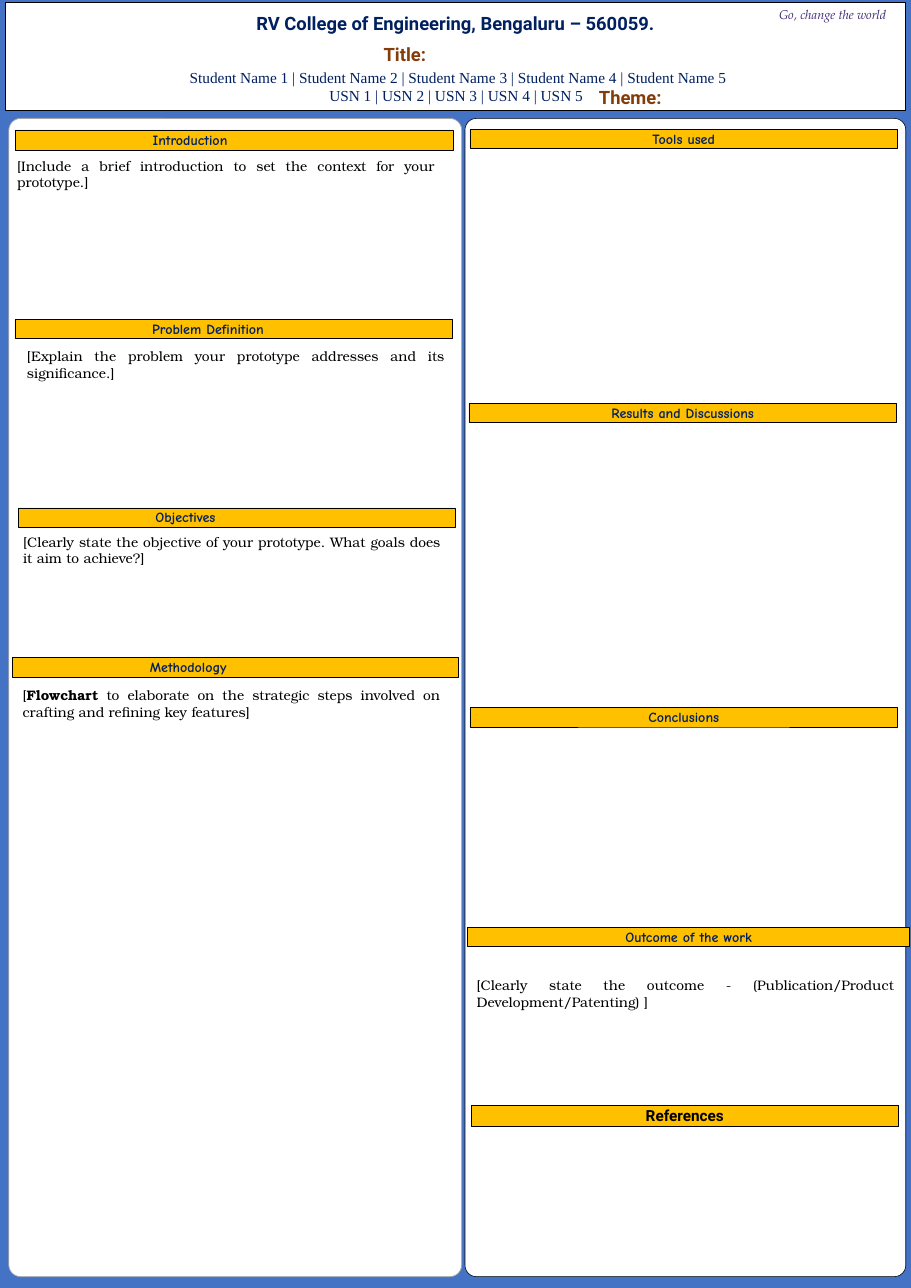
from dataclasses import dataclass

from pptx import Presentation
from pptx.dml.color import RGBColor
from pptx.enum import shapes, text
from pptx.util import Inches, Mm, Pt

LEFT, CENTER, JUSTIFY = text.PP_ALIGN.LEFT, text.PP_ALIGN.CENTER, text.PP_ALIGN.JUSTIFY


@dataclass(frozen=True)
class Theme:
    backdrop: str = "4472C4"
    paper: str = "FFFFFF"
    bar: str = "FFC000"
    ink: str = "000000"
    navy: str = "002060"
    brown: str = "843C0B"
    violet: str = "422C75"
    grey: str = "A5A5A5"
    sans: str = "Roboto"
    serif: str = "Times New Roman"
    heading_font: str = "Comic Neue"
    body_font: str = "TeX Gyre Bonum"
    motto_font: str = "TeX Gyre Pagella"
    display_size: float = 24
    names_size: float = 20
    heading_size: float = 18.4
    body_size: float = 18
    motto_size: float = 16.7


THEME = Theme()


@dataclass(frozen=True)
class Box:
    left: float
    top: float
    width: float
    height: float

    def lengths(self) -> tuple:
        return tuple(Inches(v) for v in (self.left, self.top, self.width, self.height))


@dataclass(frozen=True)
class Section:
    heading: str
    bar: Box
    prompt: str = ""
    prompt_box: Box | None = None


LEFT_SECTIONS = [
    Section("Introduction", Box(0.28, 2.36, 7.94, 0.37),
            "[Include a brief introduction to set the context for your prototype.]",
            Box(0.27, 2.84, 7.66, 2.77)),
    Section("Problem Definition", Box(0.27, 5.8, 7.94, 0.35),
            "[Explain the problem your prototype addresses and its significance.]",
            Box(0.45, 6.3, 7.66, 2.77)),
    Section("Objectives", Box(0.33, 9.22, 7.94, 0.35),
            "[Clearly state the objective of your prototype. What goals does it aim to achieve?]",
            Box(0.38, 9.67, 7.66, 1.63)),
    Section("Methodology", Box(0.23, 11.94, 8.09, 0.35),
            "[**Flowchart** to elaborate on the strategic steps involved on "
            "crafting and refining key features]",
            Box(0.37, 12.45, 7.66, 10.64)),
]
RIGHT_SECTIONS = [
    Section("Tools used", Box(8.53, 2.35, 7.76, 0.35)),
    Section("Results and Discussions", Box(8.51, 7.32, 7.76, 0.35)),
    Section("Conclusions", Box(8.53, 12.85, 7.76, 0.35)),
    Section("Outcome of the work", Box(8.49, 16.84, 8.02, 0.35),
            "[Clearly state the outcome - (Publication/Product Development/Patenting) ]",
            Box(8.61, 17.72, 7.66, 1.56)),
]
REFERENCES_BAR = Box(8.55, 20.07, 7.76, 0.38)
HEADING_INDENT = 2.49


def paint(shape, fill: str, line: str | None = None, weight: float = 0.75) -> None:
    shape.fill.solid()
    shape.fill.fore_color.rgb = RGBColor.from_string(fill)
    if line:
        shape.line.color.rgb = RGBColor.from_string(line)
        shape.line.width = Pt(weight)
    else:
        shape.line.fill.background()


def write(shape, words: str, *, font: str, size: float, color: str, align=LEFT,
          bold: bool = False, italic: bool = False,
          inset_left: float = 0.04, inset_top: float = 0.02) -> None:
    """Fill a shape with text; parts between double asterisks are bold."""
    frame = shape.text_frame
    frame.word_wrap = True
    frame.auto_size = text.MSO_AUTO_SIZE.NONE
    frame.vertical_anchor = text.MSO_ANCHOR.TOP
    frame.margin_left, frame.margin_right = Inches(inset_left), Inches(0.04)
    frame.margin_top, frame.margin_bottom = Inches(inset_top), Inches(0.02)
    for number, line in enumerate(words.split("\n")):
        paragraph = frame.add_paragraph() if number else frame.paragraphs[0]
        paragraph.alignment = align
        for part, piece in enumerate(line.split("**")):
            run = paragraph.add_run()
            run.text = piece
            run.font.name, run.font.size = font, Pt(size)
            run.font.bold, run.font.italic = bold or part % 2 == 1, italic
            run.font.color.rgb = RGBColor.from_string(color)


def add_block(slide, box: Box, fill: str, line: str | None = None, weight: float = 0.75,
              preset=shapes.MSO_SHAPE.RECTANGLE):
    block = slide.shapes.add_shape(preset, *box.lengths())
    block.shadow.inherit = False
    paint(block, fill, line, weight)
    return block


def add_column(slide, box: Box, line: str, weight: float) -> None:
    column = add_block(slide, box, THEME.paper, line, weight,
                       shapes.MSO_SHAPE.ROUNDED_RECTANGLE)
    column.adjustments[0] = 0.026


def add_text(slide, box: Box, words: str, **style) -> None:
    write(slide.shapes.add_textbox(*box.lengths()), words, **style)


def add_section(slide, section: Section, align, inset_left: float) -> None:
    bar = add_block(slide, section.bar, THEME.bar, THEME.ink)
    write(bar, section.heading, font=THEME.heading_font, size=THEME.heading_size,
          color=THEME.navy, bold=True, align=align, inset_left=inset_left)
    if section.prompt_box:
        add_text(slide, section.prompt_box, section.prompt, font=THEME.body_font,
                 size=THEME.body_size, color=THEME.ink, align=JUSTIFY)


def add_header(slide) -> None:
    college = slide.shapes.title
    college.left, college.top, college.width, college.height = Box(
        0.1, 0.04, 16.33, 1.96).lengths()
    paint(college, THEME.paper, THEME.ink)
    display = dict(font=THEME.sans, size=THEME.display_size, bold=True)
    write(college, "RV College of Engineering, Bengaluru – 560059.", color=THEME.navy,
          align=CENTER, inset_top=0.18, **display)
    add_text(slide, Box(0.76, 0.76, 13.26, 0.45), "Title: ", color=THEME.brown,
             align=CENTER, **display)
    students = add_block(slide, Box(1.71, 1.22, 13.21, 0.72), THEME.paper)
    write(students,
          "Student Name 1 | Student Name 2 | Student Name 3 | Student Name 4 | Student Name 5\n"
          "USN 1 | USN 2 | USN 3 | USN 4 | USN 5 ",
          font=THEME.serif, size=THEME.names_size, color=THEME.navy, align=CENTER)
    add_text(slide, Box(10.83, 1.54, 5.62, 0.45), "Theme:", color=THEME.brown, **display)
    add_text(slide, Box(14.13, 0.12, 2.4, 0.29), "Go, change the world",
             font=THEME.motto_font, size=THEME.motto_size, color=THEME.violet,
             italic=True, inset_left=0.01, inset_top=0.01)


def main() -> None:
    poster = Presentation()
    poster.slide_width, poster.slide_height = Mm(419.98), Mm(593.99)
    slide = poster.slides.add_slide(poster.slide_layouts.get_by_name("Title Only"))
    slide.background.fill.solid()
    slide.background.fill.fore_color.rgb = RGBColor.from_string(THEME.backdrop)

    add_header(slide)
    add_column(slide, Box(8.44, 2.15, 8, 21.03), THEME.ink, 0.75)
    add_column(slide, Box(0.16, 2.15, 8.22, 21.03), THEME.grey, 1)
    for section in LEFT_SECTIONS:
        add_section(slide, section, LEFT, HEADING_INDENT)
    for section in RIGHT_SECTIONS:
        add_section(slide, section, CENTER, 0.04)
    references = add_block(slide, REFERENCES_BAR, THEME.bar, THEME.ink)
    write(references, "References", font=THEME.sans, size=THEME.names_size,
          color=THEME.ink, bold=True, align=CENTER)
    poster.save("out.pptx")


if __name__ == "__main__":
    main()
